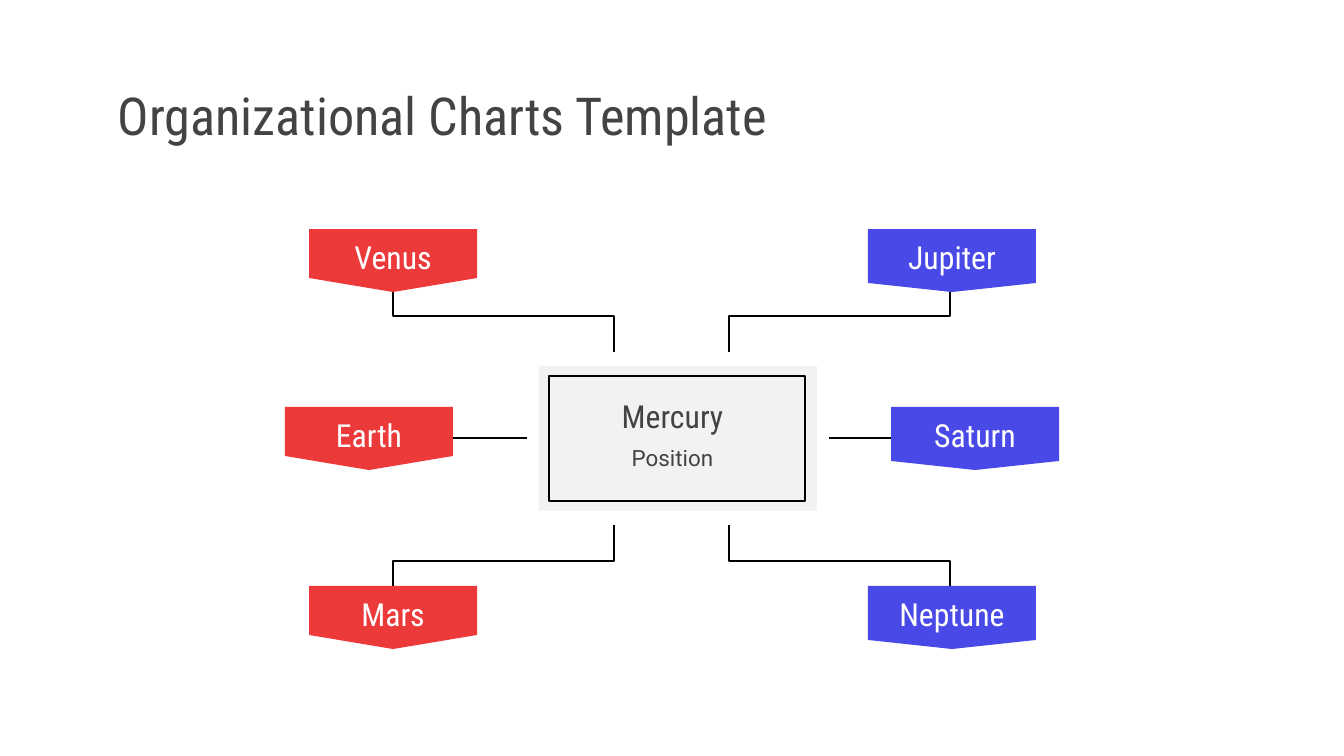
from lxml import etree
from pptx import Presentation
from pptx import util as u
from pptx.dml.color import RGBColor
from pptx.enum import shapes, text
from pptx.oxml.ns import qn

PX = 9144000 / 1344  # EMU in one px
COLORS = {
    "red": "EC3A3B",
    "blue": "4949E7",
    "panel": "F2F2F2",
    "line": "000000",
    "dark": "434343",
    "white": "FFFFFF",
}
HEADING, BODY = "Roboto Condensed", "Roboto"
LEFT, CENTER = text.PP_ALIGN.LEFT, text.PP_ALIGN.CENTER


def emu(px):
    return u.Emu(round(px * PX))


def rgb(name):
    return RGBColor.from_string(COLORS[name])


class ChartSlide:
    """Style and element builders for the current slide."""

    def __init__(self, prs):
        self.s = prs.slides.add_slide(prs.slide_layouts[6])

    def paint(self, sp, fill=None, line=None):
        sp.shadow.inherit = False
        if fill:
            sp.fill.solid()
            sp.fill.fore_color.rgb = rgb(fill)
        else:
            sp.fill.background()
        if line:
            self.stroke(sp, line)
        else:
            sp.line.fill.background()

    def stroke(self, sp, color="line", width=1.06):
        sp.line.color.rgb = rgb(color)
        sp.line.width = u.Pt(width)

    def add_text(self, sp, words, size, color="dark", font=HEADING, align=CENTER, bottom=13):
        tf = sp.text_frame
        frame = {
            "word_wrap": True,
            "vertical_anchor": text.MSO_ANCHOR.MIDDLE,
            "margin_left": emu(13),
            "margin_right": emu(13),
            "margin_top": emu(13),
            "margin_bottom": emu(bottom),
        }
        for key, value in frame.items():
            setattr(tf, key, value)
        p = tf.paragraphs[0]
        p.alignment = align
        r = p.add_run()
        r.text = words
        for key, value in {"name": font, "size": u.Pt(size)}.items():
            setattr(r.font, key, value)
        r.font.color.rgb = rgb(color)

    def label(self, box, words, size, **style):
        sp = self.s.shapes.add_textbox(*map(emu, box))
        self.add_text(sp, words, size, **style)

    def rect(self, box, fill=None, line=None):
        sp = self.s.shapes.add_shape(shapes.MSO_SHAPE.RECTANGLE, *map(emu, box))
        self.paint(sp, fill, line)

    def outline(self, points, close, fill=None, line=None):
        fb = self.s.shapes.build_freeform(*points[0], scale=PX)
        fb.add_line_segments(points[1:], close=close)
        sp = fb.convert_to_shape()
        self.paint(sp, fill, line)
        return sp

    def pennant(self, x, y, words, fill, shoulder, w=168, h=63):
        """Box whose lower edge comes to a point below the shoulder height."""
        points = [(x, y), (x, y + shoulder), (x + w // 2, y + h),
                  (x + w, y + shoulder), (x + w, y)]
        sp = self.outline(points, True, fill=fill)
        self.add_text(sp, words, 17, color="white", bottom=20)

    def elbow(self, x1, y1, x2, y2, bend):
        self.outline([(x1, y1), (x1, bend), (x2, bend), (x2, y2)], False, line="line")

    def straight(self, x1, x2, y):
        c = self.s.shapes.add_connector(
            shapes.MSO_CONNECTOR.STRAIGHT, emu(x1), emu(y), emu(x2), emu(y))
        self.stroke(c, width=1.17)
        etree.SubElement(c._element.spPr, qn("a:effectLst"))


def main():
    prs = Presentation()
    prs.slide_width, prs.slide_height = emu(1344), emu(756)
    chart = ChartSlide(prs)
    chart.label((105, 79, 1136, 71), "Organizational Charts Template", 28, align=LEFT)

    # Each side: fill, shoulder, outer x, middle x, elbow ends, straight ends, names
    sides = [
        ("red", 49, 309, 285, (393, 614), (357, 527), ("Venus", "Earth", "Mars")),
        ("blue", 54, 868, 891, (950, 729), (829, 999), ("Jupiter", "Saturn", "Neptune")),
    ]
    for fill, shoulder, outer, middle, (far, near), ends, names in sides:
        chart.straight(*ends, 438)
        chart.elbow(far, 292, near, 352, 316)
        chart.elbow(far, 586, near, 525, 561)
        for x, y, name in zip((outer, middle, outer), (229, 407, 586), names):
            chart.pennant(x, y, name, fill, shoulder)

    chart.rect((539, 366, 278, 145), fill="panel")
    chart.rect((549, 376, 256, 125), line="line")
    chart.label((567, 396, 211, 39), "Mercury", 17)
    chart.label((567, 435, 211, 45), "Position", 12, font=BODY)
    prs.save("out.pptx")


if __name__ == "__main__":
    main()
